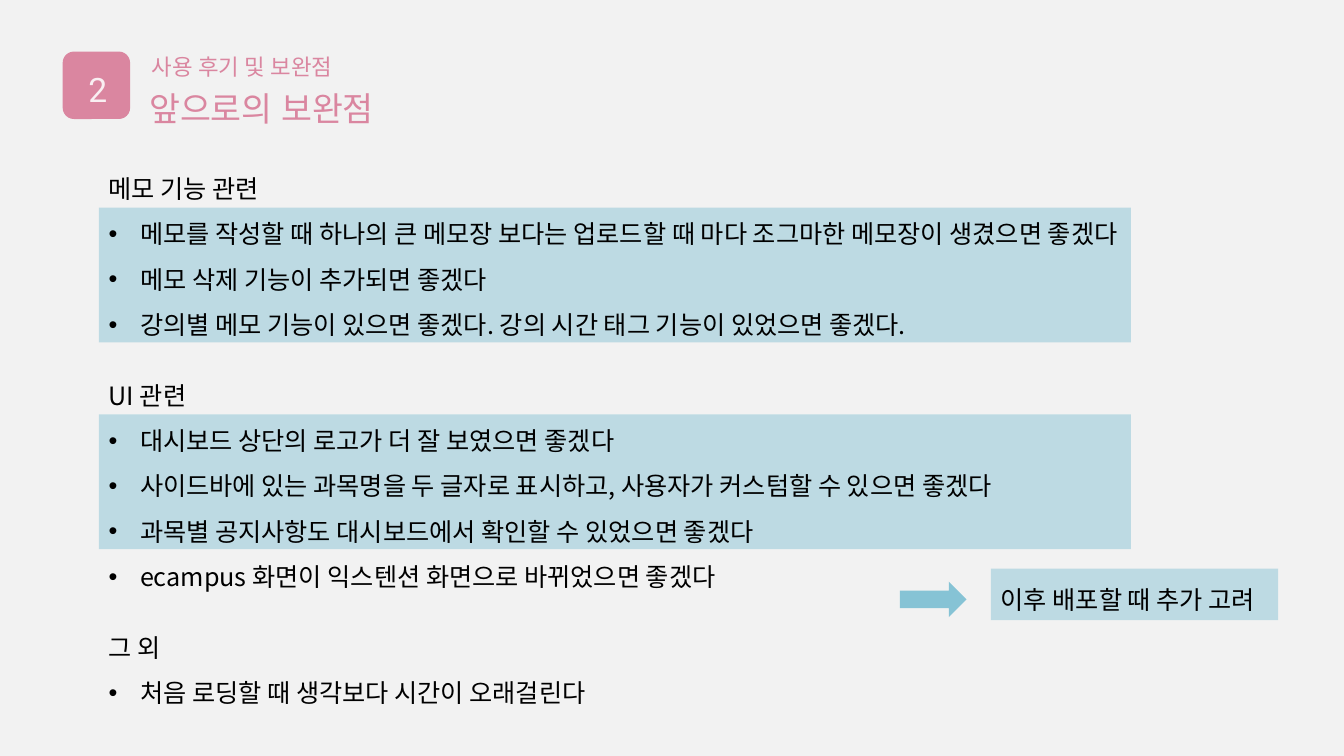
from lxml import etree
from pptx import Presentation
from pptx import util as u
from pptx.dml.color import RGBColor
from pptx.enum import shapes, text
from pptx.oxml.ns import qn

COLORS = {"background": "F2F2F2", "blue": "86C3D5", "pink": "DA86A0",
          "pale": "F9EFF2", "black": "000000"}
BODY, TITLE = "Noto Sans CJK KR", "Roboto"
INDENT = u.Cm(0.79)

FEEDBACK = {
    "메모 기능 관련": [
        "메모를 작성할 때 하나의 큰 메모장 보다는 업로드할 때 마다 조그마한 메모장이 생겼으면 좋겠다",
        "메모 삭제 기능이 추가되면 좋겠다",
        "강의별 메모 기능이 있으면 좋겠다. 강의 시간 태그 기능이 있었으면 좋겠다.",
    ],
    "UI 관련": [
        "대시보드 상단의 로고가 더 잘 보였으면 좋겠다",
        "사이드바에 있는 과목명을 두 글자로 표시하고, 사용자가 커스텀할 수 있으면 좋겠다",
        "과목별 공지사항도 대시보드에서 확인할 수 있었으면 좋겠다",
        "ecampus 화면이 익스텐션 화면으로 바뀌었으면 좋겠다",
    ],
    "그 외": ["처음 로딩할 때 생각보다 시간이 오래걸린다"],
}


def write(paragraph, words, font=BODY, size=18, color="black", align=None,
          spacing=None, before=0, bullet=False):
    properties = paragraph._p.get_or_add_pPr()
    if bullet:
        properties.set("marL", str(INDENT))
        properties.set("indent", str(-INDENT))
        etree.SubElement(properties, qn("a:buFont")).set("typeface", "Arial")
        etree.SubElement(properties, qn("a:buChar")).set("char", "•")
    paragraph.alignment = align
    paragraph.line_spacing = spacing
    paragraph.space_before = u.Pt(before)
    run = paragraph.add_run()
    run.text = words
    run.font.name = font
    run.font.size = u.Pt(size)
    run.font.color.rgb = RGBColor.from_string(COLORS[color])
    etree.SubElement(run._r.get_or_add_rPr(), qn("a:ea")).set("typeface", font)


class Deck:
    def __init__(self):
        self.presentation = Presentation()
        self.presentation.slide_width = u.Cm(33.87)
        self.presentation.slide_height = u.Cm(19.05)
        self.slide = None

    def add_slide(self):
        self.slide = self.presentation.slides.add_slide(self.presentation.slide_layouts[6])
        fill = self.slide.background.fill
        fill.solid()
        fill.fore_color.rgb = RGBColor.from_string(COLORS["background"])

    def block(self, kind, left, top, width, height, color="blue", opacity=None):
        shape = self.slide.shapes.add_shape(
            kind, u.Cm(left), u.Cm(top), u.Cm(width), u.Cm(height))
        shape.shadow.inherit = False
        shape.line.fill.background()
        shape.fill.solid()
        shape.fill.fore_color.rgb = RGBColor.from_string(COLORS[color])
        if opacity:
            tint = shape.fill._xPr.find(".//" + qn("a:srgbClr"))
            etree.SubElement(tint, qn("a:alpha")).set("val", str(opacity * 1000))

    def textbox(self, left, top, width, height):
        frame = self.slide.shapes.add_textbox(
            u.Cm(left), u.Cm(top), u.Cm(width), u.Cm(height)).text_frame
        frame.word_wrap = True
        frame.auto_size = text.MSO_AUTO_SIZE.SHAPE_TO_FIT_TEXT
        return frame

    def label(self, words, left, top, width, height, **style):
        write(self.textbox(left, top, width, height).paragraphs[0], words, **style)

    def feedback(self, groups, left, top, width, height):
        frame = self.textbox(left, top, width, height)
        paragraph = frame.paragraphs[0]
        for number, (heading, remarks) in enumerate(groups.items()):
            if number:
                paragraph = frame.add_paragraph()
            write(paragraph, heading, spacing=1.5, before=18 if number else 0)
            for remark in remarks:
                write(frame.add_paragraph(), remark, spacing=1.5, bullet=True)


def main():
    deck = Deck()
    deck.add_slide()
    kinds = shapes.MSO_SHAPE

    # Highlights behind the remarks and the note
    for top in (5.23, 10.44):
        deck.block(kinds.RECTANGLE, 2.49, top, 26.01, 3.4, opacity=49)
    deck.block(kinds.RECTANGLE, 24.97, 14.33, 7.24, 1.3, opacity=49)

    # Remarks by topic
    deck.feedback(FEEDBACK, 2.49, 3.86, 29.69, 14.15)

    # Section number and titles
    deck.label("사용 후기 및 보완점", 3.58, 1.22, 6.53, 0.94,
               font=TITLE, size=16, color="pink")
    deck.block(kinds.ROUNDED_RECTANGLE, 1.58, 1.3, 1.7, 1.7, color="pink")
    deck.label("2", 1.73, 1.6, 1.47, 1.27, font=TITLE, size=24, color="pale",
               align=text.PP_ALIGN.CENTER)
    deck.label("앞으로의 보완점", 3.51, 2.08, 9.93, 1.27,
               font=TITLE, size=24, color="pink")

    # Note on later releases
    deck.label("이후 배포할 때 추가 고려", 24.97, 14.61, 7.82, 1.02)
    deck.block(kinds.RIGHT_ARROW, 22.68, 14.66, 1.68, 0.89)

    deck.presentation.save("out.pptx")


if __name__ == "__main__":
    main()
